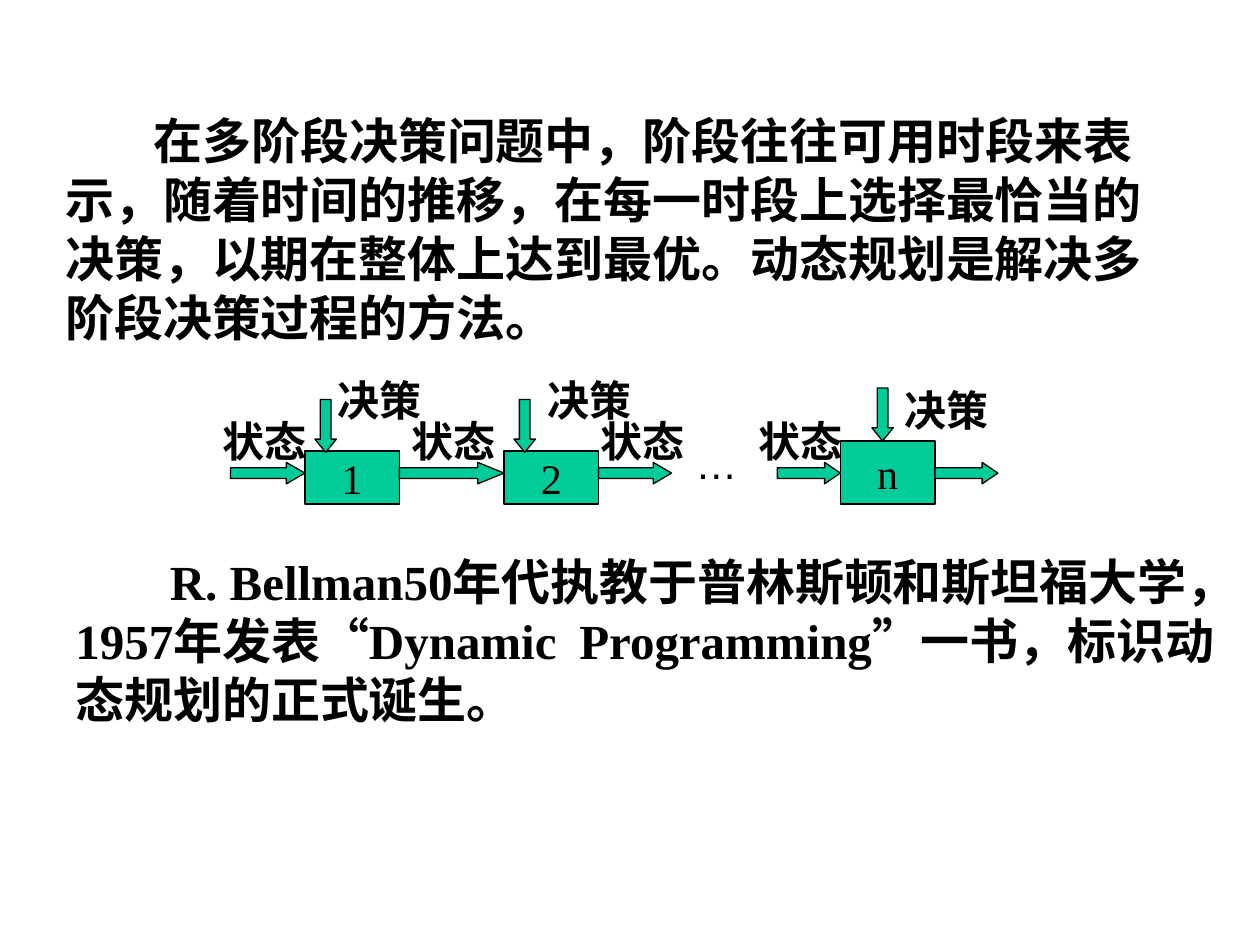
from pptx import Presentation
from pptx.dml.color import RGBColor
from pptx.enum import shapes, text
from pptx.oxml import parse_xml
from pptx.oxml.ns import nsdecls
from pptx.util import Inches, Pt

SERIF = "Times New Roman"
BLACK, GREEN = "000000", "00CC99"
THICK, DROP = 0.17, 0.42
STAGE_WIDTH, STAGE_BOTTOM = 0.75, 4
FLOW_TOP = 3.67

PASSAGES = [
    ((0.42, 0.83, 9, 1.97), 0.7, None,
     "在多阶段决策问题中，阶段往往可用时段来表示，随着时间的推移，"
     "在每一时段上选择最恰当的决策，以期在整体上达到最优。"
     "动态规划是解决多阶段决策过程的方法。"),
    ((0.5, 4.33, 9.58, 1.5), 0.75, 4.3,
     "R. Bellman50年代执教于普林斯顿和斯坦福大学，"
     "1957年发表“Dynamic\tProgramming”一书，标识动态规划的正式诞生。"),
]
STAGES = [("1", 2.42, 3.58), ("2", 4, 3.58), ("n", 6.67, 3.5)]
FLOWS = [(1.83, 2.42), (3.17, 4), (4.75, 5.33), (6.17, 6.67), (7.42, 7.92)]
DECISION_ARROWS = [(2.5, 3.17), (4.08, 3.17), (6.92, 3.08)]
LABELS = (
    [("状态", left, 3.25, 0.92) for left in (1.67, 3.17, 4.67, 5.92)]
    + [("决策", left, top, 1) for left, top in
       ((2.58, 2.92), (4.25, 2.92), (7.08, 3))]
)


def color(value):
    return RGBColor.from_string(value)


def write(shape, content, size, bold=False, font=SERIF, indent=0, tab=None):
    para = shape.text_frame.paragraphs[0]
    para.text = content
    if indent:
        para._p.get_or_add_pPr().set("indent", str(Inches(indent)))
    if tab:
        para._p.get_or_add_pPr().append(parse_xml(
            f'<a:tabLst {nsdecls("a")}><a:tab pos="{Inches(tab)}" algn="l"/></a:tabLst>'))
    para.font.name = font
    para.font.size = Pt(size)
    para.font.bold = bold
    para.font.color.rgb = color(BLACK)
    return para


def add_text(page, place, content, size, **style):
    box = page.shapes.add_textbox(*map(Inches, place))
    box.text_frame.word_wrap = True
    write(box, content, size, **style)


def add_green(page, kind, place):
    shape = page.shapes.add_shape(kind, *map(Inches, place))
    shape.shadow.inherit = False
    shape.fill.solid()
    shape.fill.fore_color.rgb = color(GREEN)
    shape.line.color.rgb = color(BLACK)
    shape.line.width = Pt(0.75)
    return shape


def add_arrow(page, kind, place):
    arrow = add_green(page, kind, place)
    arrow.adjustments[0] = 0.5
    arrow.adjustments[1] = max(place[2:]) / 4 / THICK


def main():
    deck = Presentation()
    deck.slide_width, deck.slide_height = Inches(10), Inches(7.5)
    page = deck.slides.add_slide(deck.slide_layouts[6])

    for place, indent, tab, content in PASSAGES:
        add_text(page, place, content, 28, bold=True, indent=indent, tab=tab)

    for name, left, top in STAGES:
        stage = add_green(page, shapes.MSO_SHAPE.RECTANGLE,
                          (left, top, STAGE_WIDTH, STAGE_BOTTOM - top))
        stage.text_frame.word_wrap = False
        stage.text_frame.vertical_anchor = text.MSO_ANCHOR.MIDDLE
        write(stage, name, 24).alignment = text.PP_ALIGN.CENTER

    for start, end in FLOWS:
        add_arrow(page, shapes.MSO_SHAPE.RIGHT_ARROW,
                  (start, FLOW_TOP, end - start, THICK))
    for left, top in DECISION_ARROWS:
        add_arrow(page, shapes.MSO_SHAPE.DOWN_ARROW, (left, top, THICK, DROP))

    add_text(page, (5.42, 3.42, 0.67, 0.5), "…", 24, font="Arial")
    for content, left, top, width in LABELS:
        add_text(page, (left, top, width, 0.5), content, 24, bold=True)

    deck.save("out.pptx")


if __name__ == "__main__":
    main()
